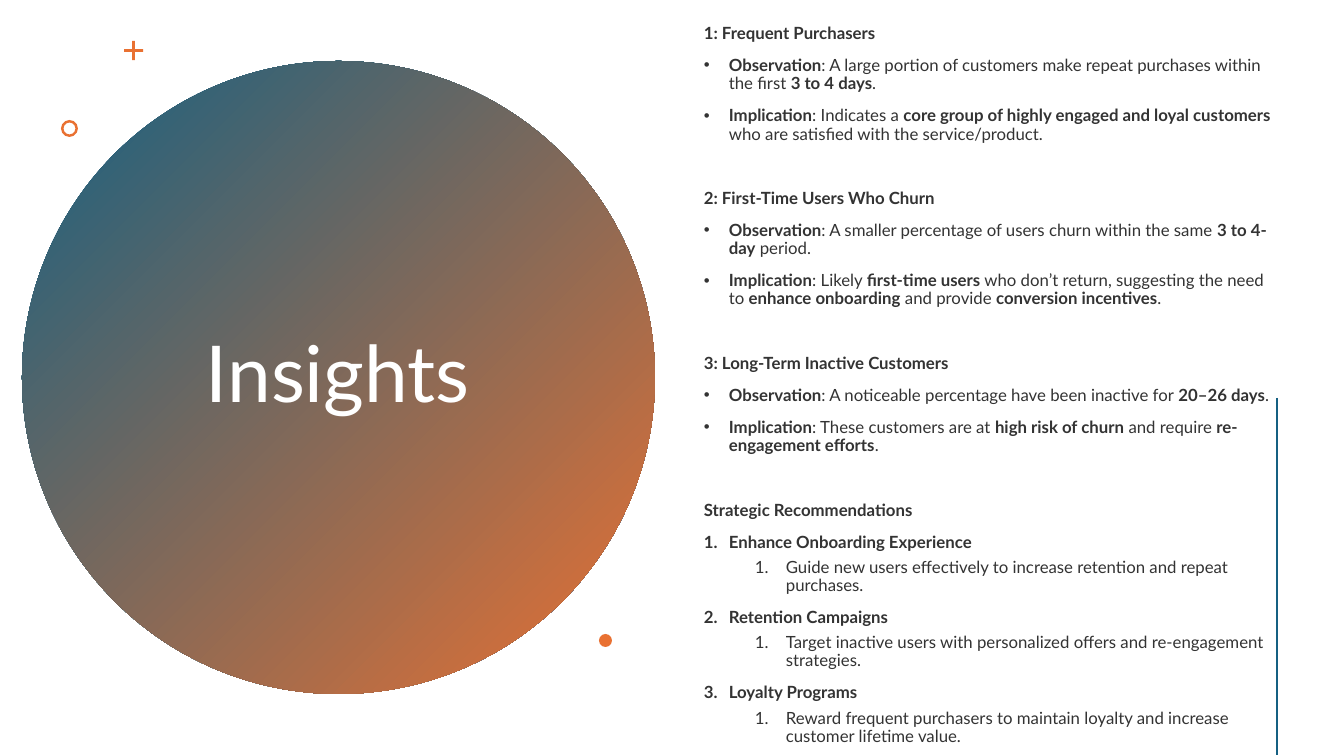
from lxml import etree
from pptx import Presentation
from pptx import util as u
from pptx.dml.color import RGBColor
from pptx.enum import shapes, text
from pptx.oxml.ns import qn

SLIDE_SIZE = (1344, 756)
EMU_PER_PX = 12192000 / 1344
FONT = "Lato"
COLORS = {"blue": "156082", "orange": "E97132", "white": "FFFFFF", "body": "333333"}

# Style and wording of each paragraph; ** marks the bold stretches.
INSIGHTS = [
    ("heading", "**1: Frequent Purchasers**"),
    ("bullet", "**Observation**: A large portion of customers make repeat purchases "
               "within the first **3 to 4 days**."),
    ("bullet", "**Implication**: Indicates a **core group of highly engaged and loyal "
               "customers** who are satisfied with the service/product."),
    ("heading", "**2: First-Time Users Who Churn**"),
    ("bullet", "**Observation**: A smaller percentage of users churn within the same "
               "**3 to 4-day** period."),
    ("bullet", "**Implication**: Likely **first-time users** who don’t return, suggesting "
               "the need to **enhance onboarding** and provide **conversion incentives**."),
    ("heading", "**3: Long-Term Inactive Customers**"),
    ("bullet", "**Observation**: A noticeable percentage have been inactive for "
               "**20–26 days**."),
    ("bullet", "**Implication**: These customers are at **high risk of churn** and require "
               "**re-engagement efforts**."),
    ("heading", "**Strategic Recommendations**"),
    ("number", "**Enhance Onboarding Experience**"),
    ("step", "Guide new users effectively to increase retention and repeat purchases."),
    ("number", "**Retention Campaigns**"),
    ("step", "Target inactive users with personalized offers and re-engagement strategies."),
    ("number", "**Loyalty Programs**"),
    ("step", "Reward frequent purchasers to maintain loyalty and increase customer "
             "lifetime value."),
]

# Level, left margin px, first-line indent px, space before pt, marker tag and attributes
STYLES = {
    "heading": (0, 0, 0, 33, None),
    "bullet": (0, 25, -25, 10, ("a:buChar", {"char": "•"})),
    "number": (0, 25, -25, 10, ("a:buAutoNum", {"type": "arabicPeriod"})),
    "step": (1, 82, -31, 5, ("a:buAutoNum", {"type": "arabicPeriod"})),
}


def px(length):
    return u.Emu(round(length * EMU_PER_PX))


def color(name):
    return RGBColor.from_string(COLORS[name])


def add_preset(slide, kind, box, fill="orange", adjustment=None):
    shape = slide.shapes.add_shape(kind, *map(px, box))
    shape.shadow.inherit = False
    shape.line.fill.background()
    shape.fill.solid()
    shape.fill.fore_color.rgb = color(fill)
    if adjustment is not None:
        shape.adjustments[0] = adjustment
    return shape


def add_text_frame(slide, box, anchor):
    frame = slide.shapes.add_textbox(*map(px, box)).text_frame
    frame.word_wrap = True
    frame.vertical_anchor = anchor
    return frame


def format_font(font, size, name, bold=False):
    font.name = FONT
    font.size = u.Pt(size)
    font.bold = bold
    font.color.rgb = color(name)


def title_circle(slide, left, top, size):
    """Gradient disc with the slide title and the small ornaments around it."""
    disc = add_preset(slide, shapes.MSO_SHAPE.OVAL, (left, top, size, size))
    disc.fill.gradient()
    disc.fill.gradient_angle = 315
    for stop, name in zip(disc.fill.gradient_stops, ("blue", "orange")):
        stop.color.rgb = color(name)

    frame = add_text_frame(slide, (left + 115, top + 81, 402, 471), text.MSO_ANCHOR.MIDDLE)
    frame.text = "Insights"
    paragraph = frame.paragraphs[0]
    paragraph.alignment = text.PP_ALIGN.CENTER
    paragraph.line_spacing = 0.9
    format_font(paragraph.runs[0].font, 56, "white")

    ornaments = [
        (shapes.MSO_SHAPE.CROSS, 102, -20, 19, 0.43),
        (shapes.MSO_SHAPE.DONUT, 39, 59, 17, 0.15),
        (shapes.MSO_SHAPE.OVAL, 577, 573, 13, None),
    ]
    for kind, across, down, width, adjustment in ornaments:
        add_preset(slide, kind, (left + across, top + down, width, width),
                   adjustment=adjustment)


def format_paragraph(paragraph, style, first):
    level, margin, indent, space_before, marker = STYLES[style]
    properties = paragraph._p.get_or_add_pPr()
    properties.set("marL", str(px(margin)))
    properties.set("indent", str(px(indent)))
    if marker:
        etree.SubElement(properties, qn("a:buFont"), typeface="Arial" if style == "bullet" else FONT)
        etree.SubElement(properties, qn(marker[0]), marker[1])
    paragraph.level = level
    paragraph.line_spacing = 0.9
    paragraph.space_before = u.Pt(0 if first else space_before)


def insights_text(slide, left, top, width, height):
    frame = add_text_frame(slide, (left, top, width, height), text.MSO_ANCHOR.TOP)
    for index, (style, wording) in enumerate(INSIGHTS):
        paragraph = frame.add_paragraph() if index else frame.paragraphs[0]
        format_paragraph(paragraph, style, first=index == 0)
        for position, part in enumerate(wording.split("**")):
            if part:
                run = paragraph.add_run()
                run.text = part
                format_font(run.font, 12, "body", bold=position % 2 == 1)


def side_rule(slide, x, top, bottom):
    rule = slide.shapes.add_connector(
        shapes.MSO_CONNECTOR.STRAIGHT, px(x), px(top), px(x), px(bottom))
    rule.line.color.rgb = color("blue")
    rule.line.width = u.Pt(2)
    etree.SubElement(rule._element.spPr, qn("a:effectLst"))


def main():
    presentation = Presentation()
    presentation.slide_width, presentation.slide_height = map(px, SLIDE_SIZE)
    slide = presentation.slides.add_slide(presentation.slide_layouts[6])
    title_circle(slide, 22, 61, 633)
    insights_text(slide, 694, 20, 599, 730)
    side_rule(slide, 1277, 398, 755)
    presentation.save("out.pptx")


if __name__ == "__main__":
    main()
